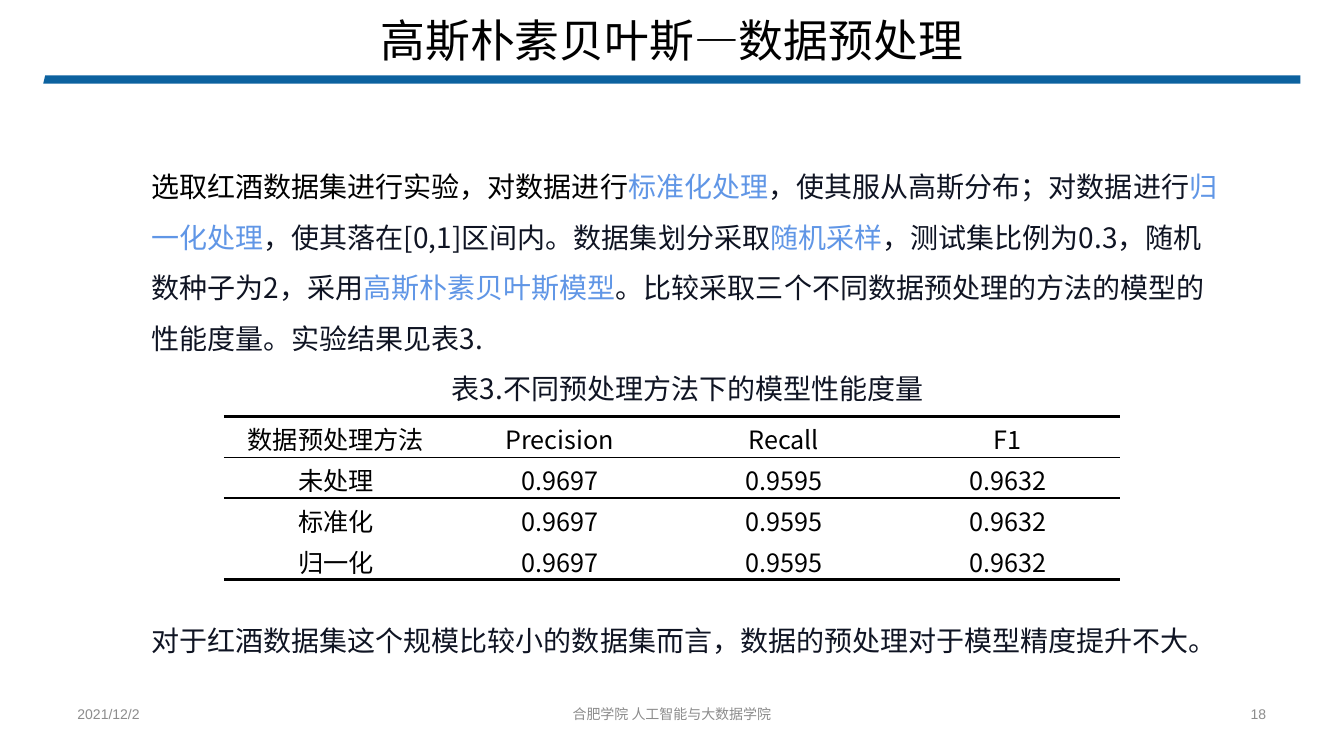
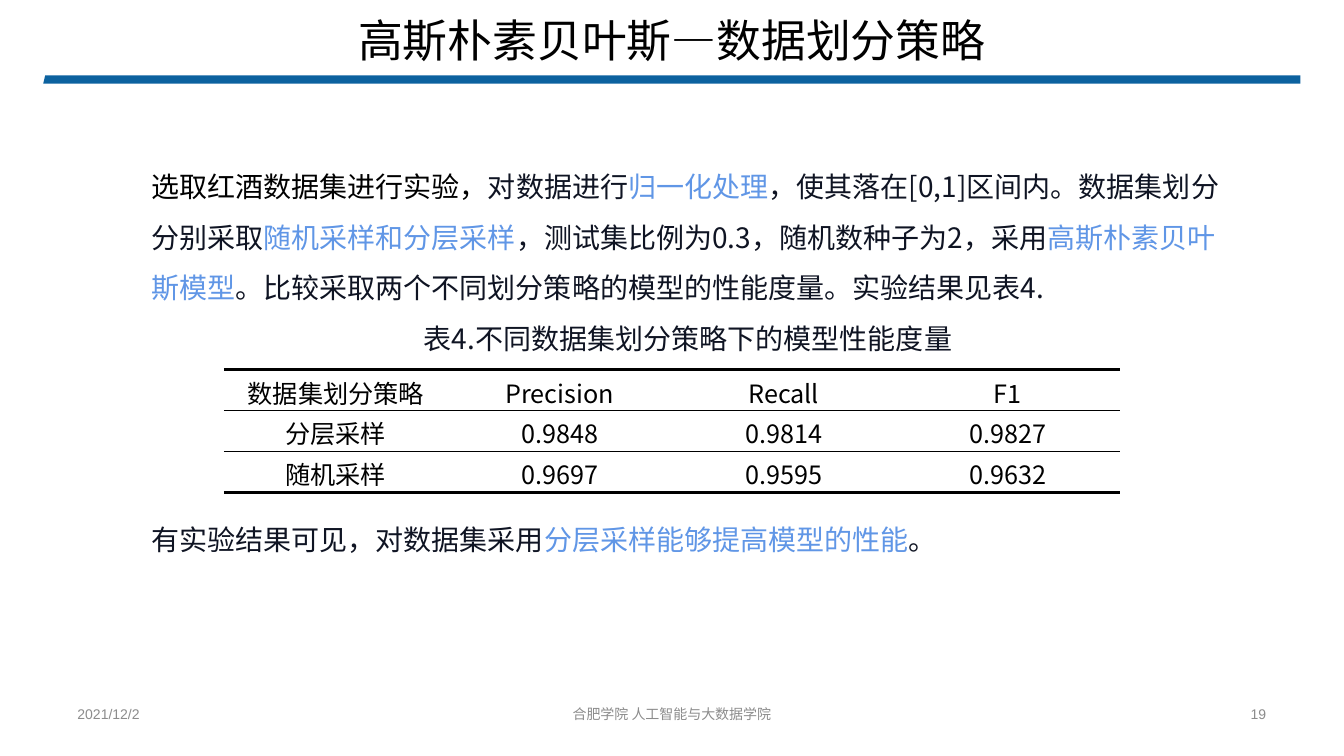
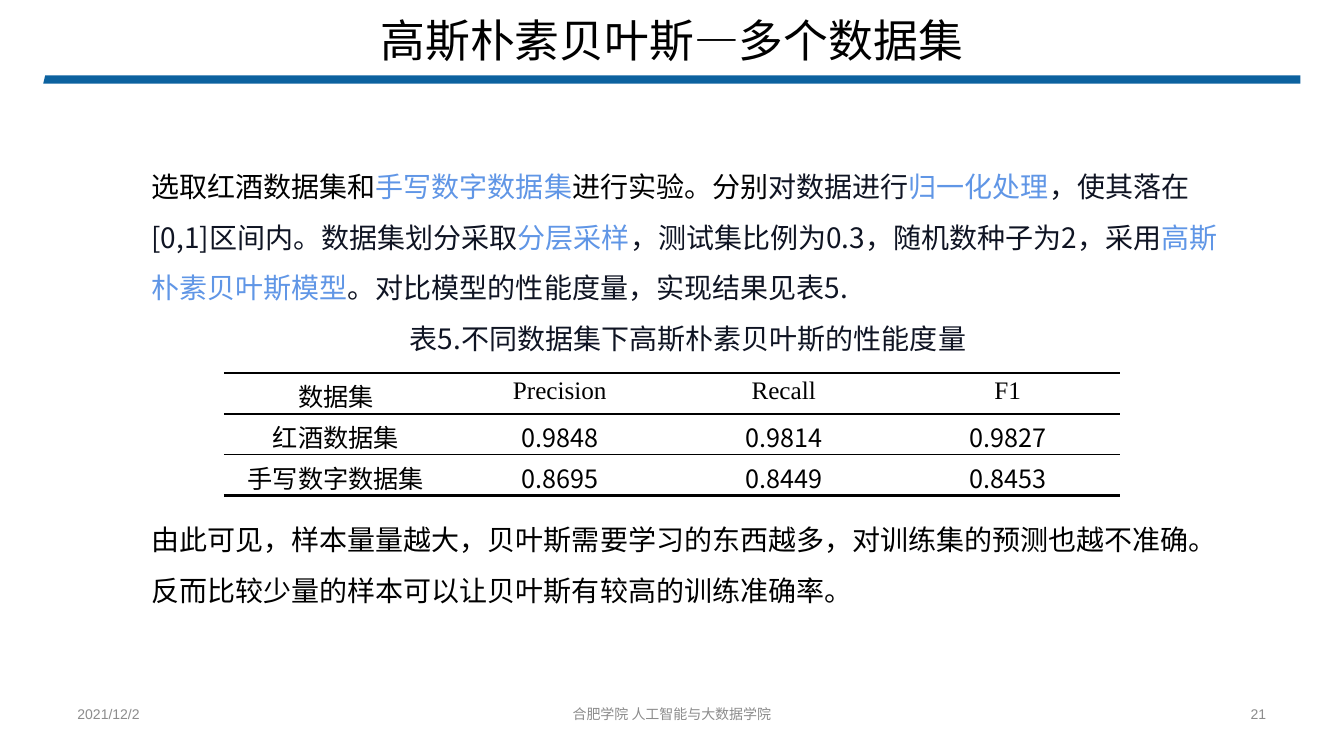
import copy

import lxml.etree
import pptx
import pptx.dml.color
import pptx.enum.shapes
import pptx.enum.text
import pptx.oxml.ns
import pptx.util

Cm = pptx.util.Cm
Pt = pptx.util.Pt
RGBColor = pptx.dml.color.RGBColor
Align = pptx.enum.text.PP_ALIGN
Kind = pptx.enum.shapes.PP_PLACEHOLDER
qn = pptx.oxml.ns.qn

BLACK = RGBColor(0x00, 0x00, 0x00)
WHITE = RGBColor(0xFF, 0xFF, 0xFF)
INK = RGBColor(0x0F, 0x14, 0x23)
ACCENT = RGBColor(0x60, 0x96, 0xE6)
BAND_BLUE = RGBColor(0x03, 0x5C, 0x9C)
FOOTER_GREY = RGBColor(0x8C, 0x8C, 0x8C)

SANS = "Noto Sans CJK SC"
SERIF = "Times New Roman"
FOOTER_FONT = "Arial"

SLIDE_WIDTH, SLIDE_HEIGHT = Cm(33.87), Cm(19.05)
BODY_LINE = Pt(36)
ROW_HEIGHT = Cm(1.03)
THICK, THIN = Pt(2.25), Pt(1)
NO_GRID_STYLE = "{2D5ABB26-0587-4C30-8999-92F81FD0307C}"
METRICS = ["Precision", "Recall", "F1"]

FOOTER_TOP, FOOTER_HEIGHT = Cm(17.55), Cm(0.9)
FOOTERS = {
    Kind.DATE: (Cm(1.7), Cm(7.5), Align.LEFT),
    Kind.FOOTER: (Cm(11.43), Cm(11), Align.CENTER),
    Kind.SLIDE_NUMBER: (Cm(24.66), Cm(7.5), Align.RIGHT),
}

PAGES = [
    {
        "number": 18,
        "title": "高斯朴素贝叶斯—数据预处理",
        "body_height": Cm(12.88),
        "intro": [
            ("选取红酒数据集进行实验，对数据进行", BLACK),
            ("标准化处理", ACCENT),
            ("，使其服从高斯分布；对数据进行", INK),
            ("归一化处理", ACCENT),
            ("，使其落在[0,1]区间内。数据集划分采取", INK),
            ("随机采样", ACCENT),
            ("，测试集比例为0.3，随机数种子为2，采用", INK),
            ("高斯朴素贝叶斯模型", ACCENT),
            ("。比较采取三个不同数据预处理的方法的模型的性能度量。实验结果见表3.", INK),
        ],
        "caption": "表3.不同预处理方法下的模型性能度量",
        "table_top": Cm(10.49),
        "header_font": SANS,
        "rows": [
            ["数据预处理方法", *METRICS],
            ["未处理", "0.9697", "0.9595", "0.9632"],
            ["标准化", "0.9697", "0.9595", "0.9632"],
            ["归一化", "0.9697", "0.9595", "0.9632"],
        ],
        "conclusion": [
            ("对于红酒数据集这个规模比较小的数据集而言，数据的预处理对于模型精度提升不大。", INK),
        ],
    },
    {
        "number": 19,
        "title": "高斯朴素贝叶斯—数据划分策略",
        "body_height": Cm(10.31),
        "intro": [
            ("选取红酒数据集进行实验，", BLACK),
            ("对数据进行", INK),
            ("归一化处理", ACCENT),
            ("，使其落在[0,1]区间内。数据集划分分别采取", INK),
            ("随机采样和分层采样", ACCENT),
            ("，测试集比例为0.3，随机数种子为2，采用", INK),
            ("高斯朴素贝叶斯模型", ACCENT),
            ("。比较采取两个不同划分策略的模型的性能度量。实验结果见表4.", INK),
        ],
        "caption": "表4.不同数据集划分策略下的模型性能度量",
        "table_top": Cm(9.32),
        "header_font": SANS,
        "rows": [
            ["数据集划分策略", *METRICS],
            ["分层采样", "0.9848", "0.9814", "0.9827"],
            ["随机采样", "0.9697", "0.9595", "0.9632"],
        ],
        "conclusion": [
            ("有实验结果可见，对数据集采用", INK),
            ("分层采样能够提高模型的性能", ACCENT),
            ("。", INK),
        ],
    },
    {
        "number": 21,
        "title": "高斯朴素贝叶斯—多个数据集",
        "body_height": Cm(11.61),
        "intro": [
            ("选取红酒数据集和", BLACK),
            ("手写数字数据集", ACCENT),
            ("进行实验。分别", BLACK),
            ("对数据进行", INK),
            ("归一化处理", ACCENT),
            ("，使其落在[0,1]区间内。数据集划分采取", INK),
            ("分层采样", ACCENT),
            ("，测试集比例为0.3，随机数种子为2，采用", INK),
            ("高斯朴素贝叶斯模型", ACCENT),
            ("。对比模型的性能度量，实现结果见表5.", INK),
        ],
        "caption": "表5.不同数据集下高斯朴素贝叶斯的性能度量",
        "table_top": Cm(9.4),
        "header_font": SERIF,
        "rows": [
            ["数据集", *METRICS],
            ["红酒数据集", "0.9848", "0.9814", "0.9827"],
            ["手写数字数据集", "0.8695", "0.8449", "0.8453"],
        ],
        "conclusion": [
            ("由此可见，样本量量越大，贝叶斯需要学习的东西越多，对训练集的预测也越不准确。"
             "反而比较少量的样本可以让贝叶斯有较高的训练准确率。", BLACK),
        ],
    },
]


def place(shape, left, top, width, height):
    shape.left, shape.top, shape.width, shape.height = left, top, width, height


def style_paragraph(para, size, color, name=SANS, align=Align.LEFT):
    para.alignment = align
    para.font.size = Pt(size)
    para.font.name = name
    para.font.color.rgb = color
    defaults = para._p.pPr.find(qn("a:defRPr"))
    lxml.etree.SubElement(defaults, qn("a:ea"), typeface=SANS)


def add_band(layout, page):
    """Draw the rule below the title and move it to the layout."""
    left, right, top, bottom = Cm(1.09), Cm(32.77), Cm(1.9), Cm(2.11)
    builder = page.shapes.build_freeform(left, bottom)
    builder.add_line_segments([(right, bottom), (right, top), (left + Cm(0.05), top)])
    band = builder.convert_to_shape()
    band.shadow.inherit = False
    band.line.fill.background()
    band.fill.solid()
    band.fill.fore_color.rgb = BAND_BLUE
    tint = band.element.spPr.find(qn("a:solidFill"))[0]
    lxml.etree.SubElement(tint, qn("a:alpha"), val="96000")
    layout.shapes.element.insert(2, band.element)


def add_footers(page, layout, number):
    texts = {
        Kind.DATE: "2021/12/2",
        Kind.FOOTER: "合肥学院 人工智能与大数据学院",
        Kind.SLIDE_NUMBER: str(number),
    }
    for source in layout.placeholders:
        if source.placeholder_format.type in texts:
            page.shapes.element.append(copy.deepcopy(source.element))
    for box in page.placeholders:
        kind = box.placeholder_format.type
        if kind in texts:
            left, width, align = FOOTERS[kind]
            place(box, left, FOOTER_TOP, width, FOOTER_HEIGHT)
            box.text_frame.text = texts[kind]
            style_paragraph(box.text_frame.paragraphs[0], 10, FOOTER_GREY, FOOTER_FONT, align)


def fill_title(box, text):
    width = Cm(0.8 + 1.12 * len(text))
    place(box, (SLIDE_WIDTH - width) // 2, Cm(0.18), width, Cm(1.63))
    frame = box.text_frame
    frame.text = text
    frame.word_wrap = False
    frame.auto_size = pptx.enum.text.MSO_AUTO_SIZE.NONE
    style_paragraph(frame.paragraphs[0], 32, BLACK, align=Align.CENTER)


def fill_body(box, content):
    """Write intro, caption and conclusion, leaving room for the table."""
    place(box, Cm(2.77), Cm(3.73), Cm(28.35), content["body_height"])
    frame = box.text_frame
    frame.word_wrap = True
    frame.auto_size = pptx.enum.text.MSO_AUTO_SIZE.NONE
    frame.vertical_anchor = pptx.enum.text.MSO_ANCHOR.TOP
    table_gap = BODY_LINE * len(content["rows"])
    parts = [
        (content["intro"], Align.LEFT, 0),
        ([(content["caption"], INK)], Align.CENTER, 0),
        (content["conclusion"], Align.LEFT, table_gap),
    ]
    for index, (spans, align, gap) in enumerate(parts):
        para = frame.add_paragraph() if index else frame.paragraphs[0]
        properties = para._p.get_or_add_pPr()
        properties.set("marL", str(Cm(0.79)))
        properties.set("indent", "0")
        lxml.etree.SubElement(properties, qn("a:buNone"))
        para.line_spacing = BODY_LINE
        para.space_before = pptx.util.Emu(gap)
        para.space_after = Pt(0)
        style_paragraph(para, 20, INK, align=align)
        for text, color in spans:
            span = para.add_run()
            span.text = text
            span.font.color.rgb = color


def add_border(cell, side, width):
    line = lxml.etree.SubElement(cell._tc.get_or_add_tcPr(), qn("a:" + side), w=str(width))
    paint = lxml.etree.SubElement(line, qn("a:solidFill"))
    lxml.etree.SubElement(paint, qn("a:srgbClr"), val=str(BLACK))


def add_result_table(page, rows, top, header_font):
    frame = page.shapes.add_table(
        len(rows), len(rows[0]), Cm(5.64), top, Cm(22.58), ROW_HEIGHT * len(rows))
    table = frame.table
    table.first_row = table.horz_banding = False
    table._tbl.tblPr.find(qn("a:tableStyleId")).text = NO_GRID_STYLE
    above = {0: THICK, 1: THIN}
    below = {0: THIN, len(rows) - 1: THICK}
    for r, row in enumerate(rows):
        for c, text in enumerate(row):
            cell = table.cell(r, c)
            cell.text = text
            cell.margin_top, cell.margin_bottom = Cm(0.1), 0
            if r in above:
                add_border(cell, "lnT", above[r])
            if r in below:
                add_border(cell, "lnB", below[r])
            cell.fill.solid()
            cell.fill.fore_color.rgb = WHITE
            name = header_font if r == 0 and c > 0 else SANS
            style_paragraph(cell.text_frame.paragraphs[0], 18, BLACK, name, Align.CENTER)


def add_result_page(deck, layout, content):
    page = deck.slides.add_slide(layout)
    fill_title(page.shapes.title, content["title"])
    fill_body(page.placeholders[1], content)
    add_footers(page, layout, content["number"])
    add_result_table(page, content["rows"], content["table_top"], content["header_font"])
    return page


def main():
    deck = pptx.Presentation()
    deck.slide_width, deck.slide_height = SLIDE_WIDTH, SLIDE_HEIGHT
    layout = deck.slide_layouts[1]
    pages = [add_result_page(deck, layout, content) for content in PAGES]
    add_band(layout, pages[0])
    deck.save("out.pptx")


if __name__ == "__main__":
    main()
